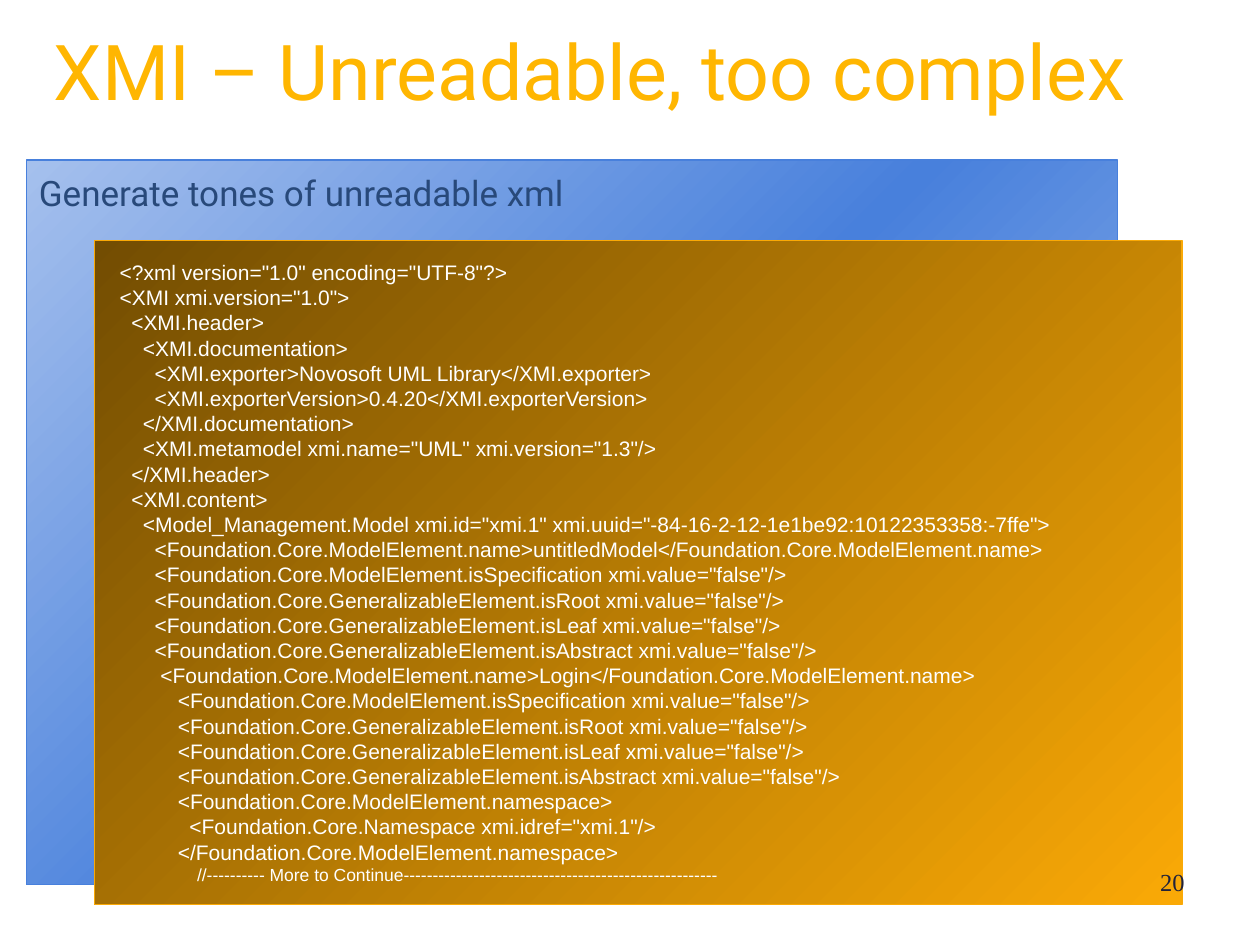
from lxml import etree
from pptx import Presentation
from pptx import util as u
from pptx.dml.color import RGBColor
from pptx.enum import shapes, text
from pptx.oxml.ns import qn

Inches, Pt = u.Inches, u.Pt

COLORS = {
    "title": "FFB601", "title_shadow": "3F3F3F",
    "blue": "4880DC", "pale_blue": "A5C0ED", "subtitle": "28497A",
    "amber": "FAA906", "brown": "734D02", "code": "FFFFFF",
    "number": "22233A",
}

FLAGS = [
    '<Foundation.Core.ModelElement.isSpecification xmi.value="false"/>',
    '<Foundation.Core.GeneralizableElement.isRoot xmi.value="false"/>',
    '<Foundation.Core.GeneralizableElement.isLeaf xmi.value="false"/>',
    '<Foundation.Core.GeneralizableElement.isAbstract xmi.value="false"/>',
]

# Each code line with its number of leading spaces
CODE = [
    (0, '<?xml version="1.0" encoding="UTF-8"?>'),
    (0, '<XMI xmi.version="1.0">'),
    (2, '<XMI.header>'),
    (4, '<XMI.documentation>'),
    (6, '<XMI.exporter>Novosoft UML Library</XMI.exporter>'),
    (6, '<XMI.exporterVersion>0.4.20</XMI.exporterVersion>'),
    (4, '</XMI.documentation>'),
    (4, '<XMI.metamodel xmi.name="UML" xmi.version="1.3"/>'),
    (2, '</XMI.header>'),
    (2, '<XMI.content>'),
    (4, '<Model_Management.Model xmi.id="xmi.1" xmi.uuid="-84-16-2-12-1e1be92:10122353358:-7ffe">'),
    (6, '<Foundation.Core.ModelElement.name>untitledModel</Foundation.Core.ModelElement.name>'),
    *[(6, flag) for flag in FLAGS],
    (7, '<Foundation.Core.ModelElement.name>Login</Foundation.Core.ModelElement.name>'),
    *[(10, flag) for flag in FLAGS],
    (10, '<Foundation.Core.ModelElement.namespace>'),
    (12, '<Foundation.Core.Namespace xmi.idref="xmi.1"/>'),
    (10, '</Foundation.Core.ModelElement.namespace>'),
    (16, '//---------- More to Continue------------------------------------------------------'),
]


def rgb(name):
    return RGBColor.from_string(COLORS[name])


def set_frame(frame, margin_x=0.1, margin_y=0.05):
    settings = {
        "word_wrap": True, "vertical_anchor": text.MSO_ANCHOR.TOP,
        "margin_left": Inches(margin_x), "margin_right": Inches(margin_x),
        "margin_top": Inches(margin_y), "margin_bottom": Inches(margin_y),
    }
    for name, value in settings.items():
        setattr(frame, name, value)


def write(paragraph, words, size, font, color, **layout):
    settings = {"alignment": text.PP_ALIGN.LEFT, **layout}
    for name, value in settings.items():
        setattr(paragraph, name, value)
    run = paragraph.add_run()
    run.text = words
    for name, value in {"size": Pt(size), "name": font}.items():
        setattr(run.font, name, value)
    run.font.color.rgb = rgb(color)
    return run


def add_label(parent, box, words, size, font, color, **layout):
    label = parent.add_textbox(*map(Inches, box))
    set_frame(label.text_frame)
    return write(label.text_frame.paragraphs[0], words, size, font, color, **layout)


def add_panel(parent, box, stops, line_color):
    """Rectangle with a diagonal gradient from bottom right to top left."""
    panel = parent.add_shape(shapes.MSO_SHAPE.RECTANGLE, *map(Inches, box))
    panel.shadow.inherit = False
    panel.line.color.rgb = rgb(line_color)
    panel.line.width = Pt(1)
    panel.fill.gradient()
    panel.fill.gradient_angle = 135
    stop_list = panel._element.spPr.find(qn("a:gradFill")).find(qn("a:gsLst"))
    for old_stop in list(stop_list):
        stop_list.remove(old_stop)
    for position, color in stops:
        stop = etree.SubElement(stop_list, qn("a:gs"), pos=str(position * 1000))
        etree.SubElement(stop, qn("a:srgbClr"), val=COLORS[color])
    return panel


def add_title(slide, box):
    run = add_label(slide.shapes, box, "XMI – Unreadable, too complex",
                    44, "Roboto", "title", line_spacing=0.85)
    # Text shadow, placed directly after the text fill
    effects = etree.Element(qn("a:effectLst"))
    shadow = etree.SubElement(effects, qn("a:outerShdw"), dist="28575", dir="2700000")
    etree.SubElement(shadow, qn("a:srgbClr"), val=COLORS["title_shadow"])
    run.font._element.find(qn("a:solidFill")).addnext(effects)


def add_topic(slide, box):
    left, top, width, _ = box
    group = slide.shapes.add_group_shape().shapes
    add_panel(group, box, [(0, "pale_blue"), (50, "blue"), (100, "pale_blue")], "blue")
    add_label(group, (left, top + 0.04, width - 0.18, 0.44),
              "Generate tones of unreadable xml", 20, "Roboto", "subtitle")


def add_code(slide, box):
    panel = add_panel(slide.shapes, box, [(0, "amber"), (100, "brown")], "amber")
    frame = panel.text_frame
    set_frame(frame, 0.2, 0.15)
    for index, (indent, line) in enumerate(CODE):
        paragraph = frame.add_paragraph() if index else frame.paragraphs[0]
        size = 10 if line.startswith("//") else 12
        write(paragraph, " " * indent + line, size, "Arial", "code",
              line_spacing=Pt(size * 1.2))


def add_slide_number(slide, box):
    add_label(slide.shapes, box, "20", 14, "Times New Roman", "number",
              alignment=text.PP_ALIGN.RIGHT)


def main():
    deck = Presentation()
    deck.slide_width, deck.slide_height = Inches(10), Inches(7.5)
    slide = deck.slides.add_slide(deck.slide_layouts[6])
    add_title(slide, (0.33, 0.25, 9.18, 1.35))
    add_topic(slide, (0.21, 1.27, 8.66, 5.75))
    add_code(slide, (0.75, 1.91, 8.63, 5.27))
    add_slide_number(slide, (7.17, 6.83, 2.33, 0.52))
    deck.save("out.pptx")


if __name__ == "__main__":
    main()
